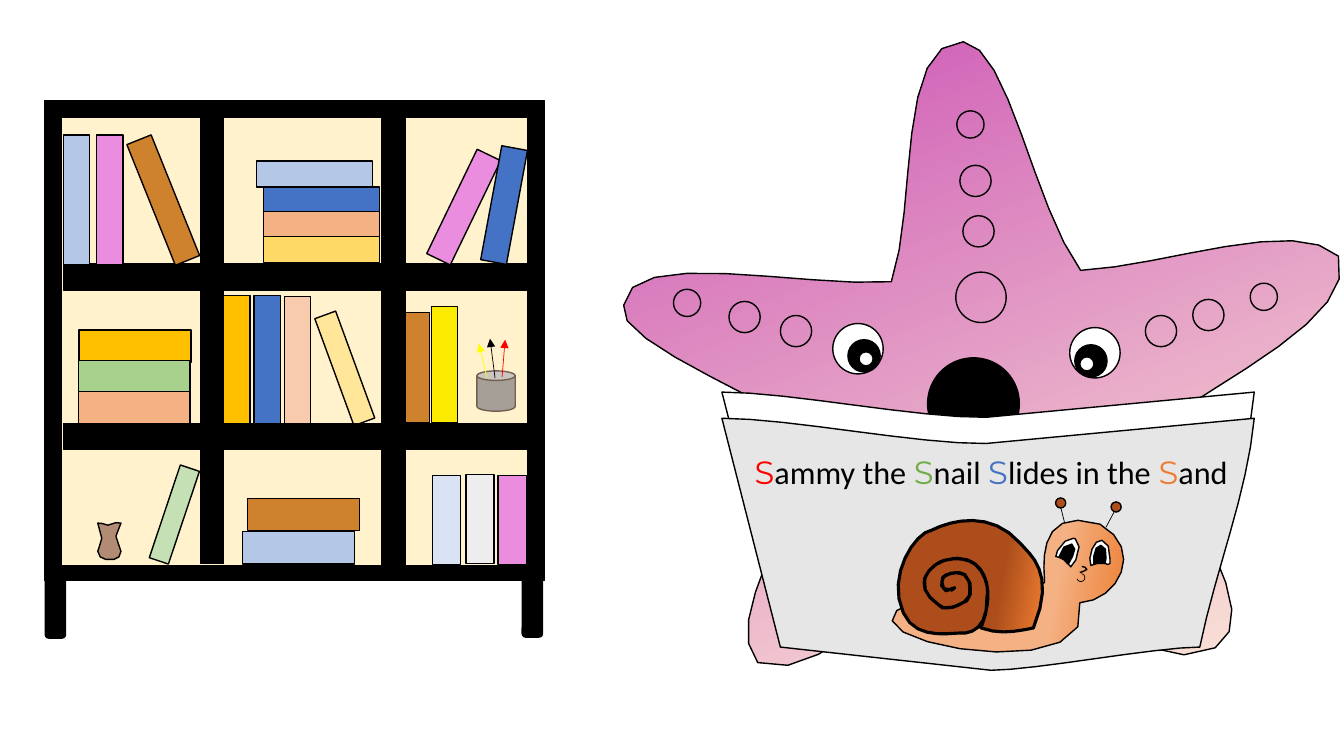
import math
import lxml.etree
import pptx
import pptx.dml.color
import pptx.enum.shapes
import pptx.enum.text
import pptx.oxml.ns
import pptx.util

EMU_PER_PX = 9144  # 100 px to the inch
KIND = pptx.enum.shapes.MSO_SHAPE
# Gradients hold their stops (percent, colour) and a clockwise angle
THEME = dict(
    black="000000", white="FFFFFF", wall="FFF2CC", cover="E7E6E6", sky="B4C7E7", blue="4472C4",
    pink="EB8DDE", brown="CF822D", peach="F4B183", blush="F8CBAD", sand="FFD966", cream="FFE699",
    gold="FFC000", lemon="FBEB01", green="A9D18E", mint="C5E0B4", ice="DAE3F3", silver="EDEDED",
    vase="B18B74", cup="A69F97", cup_edge="745E50", red="FF0000", yellow="FFFF00", leaf="70AD47",
    orange="ED7D31", star=((3, "FBE5D6"), (100, "CB51B4"), 250),
    snail=((0, "ED7D31"), (31, "F4B183"), 190), shell=((0, "ED7D31"), (31, "AC4D1B"), 190),
    title_size=23, font="Calibri", initial_font="Montserrat", thin=0.5, normal=1, thick=2.25)

STAR = """M 620 293 C 625 234 798 281 886 277 C 914 204 897 38 964 41
 C 1009 47 1029 207 1074 271 C 1159 269 1289 223 1330 264
 C 1349 325 1207 383 1145 429 C 1162 502 1252 617 1197 649
 C 1107 685 1075 551 984 521 C 912 526 821 682 743 651
 C 706 607 792 504 799 429 C 798 404 604 330 620 293 Z"""
VASE = """M 97 519 C 99 517 103 521 107 521 C 111 521 120 515 120 519
 C 120 523 115 528 115 532 C 115 537 120 542 120 547 C 120 551 117 555 113 555
 L 105 555 C 101 555 97 551 97 547 C 97 543 101 539 101 534 L 97 519 Z"""
BOOK_PAGE = """M 716 389 C 783 389 911 415 978 414 L 1244 389
 C 1237 464 1206 538 1190 616 C 1146 616 1026 639 983 639 L 774 616 L 716 389 Z"""
SNAIL_BODY = """M 1036 578 C 1037 571 1023 499 1091 520 C 1136 545 1109 596 1071 598
 C 1091 674 892 646 885 616 C 878 585 1035 585 1036 578 Z"""
SNAIL_SHELL = """M 963 557 C 946 550 924 556 917 574 C 914 591 929 597 931 600
 C 933 604 944 606 959 596 C 964 593 965 576 957 570 C 954 566 929 567 934 581
 C 933 585 942 590 947 583 C 948 582 942 590 936 584 C 932 581 935 573 936 572
 C 937 571 939 569 948 568 C 958 566 963 578 962 583 C 967 601 933 607 932 601
 C 900 579 926 559 936 556 C 975 544 982 584 979 592 C 980 624 963 629 952 628
 C 941 628 908 635 896 608 C 879 571 908 528 924 526 C 944 516 983 506 1012 539
 C 1021 550 1048 567 1025 623 C 1009 626 993 630 973 623 C 988 585 976 563 963 557 Z"""
RIGHT_PUPIL = """M 1091 541 L 1092 541 C 1097 541 1097 547 1097 554 L 1096 559 L 1088 559
 L 1085 560 L 1085 559 C 1084 553 1085 541 1091 541 Z"""
RIGHT_EYE = """M 1093 536 C 1098 536 1102 545 1101 555 L 1101 559 L 1099 560 L 1096 559
 L 1097 554 C 1097 547 1097 541 1092 541 C 1086 540 1084 553 1085 559 L 1085 560
 L 1082 561 L 1081 554 C 1082 544 1087 535 1093 536 Z"""
LEFT_PUPIL = """M 1059 539 L 1061 539 C 1068 541 1065 550 1063 559 L 1062 559
 L 1057 556 L 1052 555 C 1052 548 1054 539 1059 539 Z"""
LEFT_EYE = """M 1061 533 L 1063 533 C 1068 534 1071 543 1069 553 L 1066 561 L 1063 559
 C 1065 550 1068 541 1061 539 C 1054 538 1053 548 1052 555 L 1049 555
 L 1049 549 C 1051 540 1056 534 1061 533 Z"""
SNAIL_NOSE = "M 1073 562 C 1075 563 1078 562 1078 565 C 1077 567 1072 567 1071 568"


def emu(px):
    return round(px * EMU_PER_PX)


def rgb(colour):
    return pptx.dml.color.RGBColor.from_string(colour)


def apply_format(target, values):
    for name, value in values.items():
        setattr(target, name, value)


def paint(shape, fill, line="black", width="normal", rotation=0):
    """Fill with a colour, a gradient or nothing, and set the outline."""
    look = THEME.get(fill)
    if look is None:
        shape.fill.background()
    elif isinstance(look, str):
        shape.fill.solid()
        shape.fill.fore_color.rgb = rgb(look)
    else:
        shape.fill.gradient()
        shape.fill.gradient_angle = 360 - look[-1]
        for stop, (percent, colour) in zip(shape.fill.gradient_stops, look):
            apply_format(stop, {"position": percent / 100})
            stop.color.rgb = rgb(colour)
    shape.line.color.rgb = rgb(THEME[line])
    shape.line.width = pptx.util.Pt(THEME[width])
    shape.shadow.inherit = False
    shape.rotation = rotation


def add_preset(page, kind, frame, fill, **style):
    shape = page.shapes.add_shape(kind, *map(emu, frame))
    paint(shape, fill, **style)
    return shape


def add_circle(page, x, y, size, fill=None):
    add_preset(page, KIND.OVAL, (x, y, size, size), fill)


def trace(outline):
    """Turn an outline of M, L, C and Z steps into px points, more on longer curves."""
    points = []
    for step in outline.replace("Z", "").replace("M", "L").replace("L", "|L").replace(
            "C", "|C").split("|")[1:]:
        numbers = [int(number) for number in step[1:].split()]
        ends = list(zip(numbers[::2], numbers[1::2]))
        if step[0] == "L":
            points += ends
            continue
        controls = [points[-1], *ends]
        count = max(2, min(8, round(sum(map(math.dist, controls, ends)) / 10)))
        for t in (i / count for i in range(1, count + 1)):
            weights = [math.comb(3, k) * t ** k * (1 - t) ** (3 - k) for k in range(4)]
            points.append([sum(map(math.prod, zip(weights, axis))) for axis in zip(*controls)])
    return points


def add_outline(page, outline, fill, drop=0, **style):
    points = [(emu(x), emu(y + drop)) for x, y in trace(outline)]
    builder = page.shapes.build_freeform(*points[0], scale=1.0)
    builder.add_line_segments(points[1:], close=outline.endswith("Z"))
    paint(builder.convert_to_shape(), fill, **style)


def add_line(page, ends, colour="black", arrow=False):
    straight = pptx.enum.shapes.MSO_CONNECTOR.STRAIGHT
    line = page.shapes.add_connector(straight, *map(emu, ends))
    line.line.color.rgb = rgb(THEME[colour])
    line.line.width = pptx.util.Pt(THEME["thin"])
    properties, qn = line._element.spPr, pptx.oxml.ns.qn
    if arrow:
        lxml.etree.SubElement(properties.find(qn("a:ln")), qn("a:tailEnd"), type="triangle")
    lxml.etree.SubElement(properties, qn("a:effectLst"))


def draw_starfish(page):
    add_outline(page, STAR, "star", rotation=358.4)
    add_circle(page, 920, 355, 91, "black")
    add_circle(page, 948, 270, 50)
    for x, y in ((774, 313), (955, 214), (1136, 313), (1183, 297), (952, 164), (723, 299)):
        add_circle(page, x, y, 31)
    for x, y in ((1240, 281), (949, 110), (668, 287)):
        add_circle(page, x, y, 27)
    for eye, pupil, glint in (((826, 321), (841, 337), (852, 349)),
                              ((1061, 325), (1066, 342), (1071, 354))):
        add_circle(page, *eye, 50, "white")
        add_circle(page, *pupil, 32, "black")
        add_circle(page, *glint, 14, "white")


def draw_bookcase(page):
    for leg in ((45, 565, 20, 68), (518, 564, 20, 68)):
        add_preset(page, KIND.ROUNDED_RECTANGLE, leg, "black")
    case = (("black", 44, 100, 496, 476, 0), ("wall", 61, 116, 462, 445, 0),
            ("black", 379, 109, 23, 464, 0), ("black", 199, 112, 23, 447, 0),
            ("black", 280, 45, 26, 460, 90))
    top_books = (
        ("sky", 63, 134, 26, 129, 0), ("pink", 96, 134, 26, 129, 0),
        ("brown", 149, 134, 26, 129, 338.1), ("blue", 306, 141, 26, 115, 270),
        ("sky", 299, 115, 26, 115, 270), ("peach", 306, 165, 26, 115, 270),
        ("sand", 306, 190, 26, 115, 270), ("pink", 447, 148, 26, 115, 25.8),
        ("blue", 487, 146, 26, 115, 10.5))
    middle_books = (
        ("lemon", 428, 304, 26, 115, 0), ("blush", 282, 294, 26, 129, 0),
        ("blue", 252, 293, 26, 129, 0), ("gold", 222, 293, 26, 129, 0),
        ("cream", 331, 309, 22, 113, 339.9), ("gold", 118, 288, 32, 111, 90),
        ("green", 117, 318, 32, 111, 90), ("peach", 117, 349, 32, 111, 90),
        ("brown", 402, 310, 24, 109, 0))
    bottom_books = (
        ("mint", 163, 462, 20, 97, 18.5), ("brown", 285, 455, 32, 111, 90),
        ("sky", 280, 488, 32, 111, 90), ("ice", 429, 472, 28, 88, 0),
        ("silver", 462, 471, 28, 88, 0), ("pink", 494, 472, 28, 88, 0))
    lower_shelf = ("black", 280, 203, 26, 460, 90)
    for fill, *frame, turn in (*case, *top_books, *middle_books, *bottom_books, lower_shelf):
        add_preset(page, KIND.RECTANGLE, frame, fill, rotation=turn)
    add_preset(page, KIND.CAN, (473, 368, 38, 40), "cup", line="cup_edge")
    for colour, ends in (("black", (491, 375, 486, 336)), ("red", (498, 374, 501, 337)),
                         ("yellow", (483, 375, 475, 341))):
        add_line(page, ends, colour, arrow=True)
    add_outline(page, VASE, "vase")


def add_title(page):
    box = page.shapes.add_textbox(*map(emu, (654, 444, 658, 50)))
    fit = pptx.enum.text.MSO_AUTO_SIZE.SHAPE_TO_FIT_TEXT
    apply_format(box.text_frame, {"word_wrap": True, "auto_size": fit})
    para = box.text_frame.paragraphs[0]
    para.alignment = pptx.enum.text.PP_ALIGN.CENTER
    for colour, rest in (("red", "ammy the "), ("leaf", "nail "),
                         ("blue", "lides in the "), ("orange", "and")):
        for text, font, shade in (("S", "initial_font", colour), (rest, "font", "black")):
            span = para.add_run()
            span.text = text
            size = pptx.util.Pt(THEME["title_size"])
            apply_format(span.font, {"name": THEME[font], "size": size})
            span.font.color.rgb = rgb(THEME[shade])


def draw_snail(page):
    add_outline(page, SNAIL_BODY, "snail")
    add_outline(page, SNAIL_SHELL, "shell", width="thick")
    for stalk in ((1052, 503, 1056, 519), (1106, 506, 1097, 523)):
        add_line(page, stalk)
    for x, y in ((1102, 498), (1047, 494)):
        add_circle(page, x, y, 10, "shell")
    for pupil, eye, turn in ((RIGHT_PUPIL, RIGHT_EYE, 0), (LEFT_PUPIL, LEFT_EYE, 15.3)):
        add_outline(page, pupil, "black", rotation=turn)
        add_outline(page, eye, "white", rotation=turn)
    add_outline(page, SNAIL_NOSE, None)
    smile = add_preset(page, KIND.ARC, (1068, 569, 8, 8), None, width="thin", rotation=146.4)
    for index, degrees in enumerate((131.42, 18.55)):
        smile.adjustments[index] = degrees * 0.6


def main():
    deck = pptx.Presentation()
    apply_format(deck, {"slide_width": emu(1333), "slide_height": emu(750)})
    page = deck.slides.add_slide(deck.slide_layouts[6])
    draw_starfish(page)
    draw_bookcase(page)
    for fill, drop in (("white", 0), ("cover", 26)):
        add_outline(page, BOOK_PAGE, fill, drop)
    add_title(page)
    draw_snail(page)
    deck.save("out.pptx")


if __name__ == "__main__":
    main()
